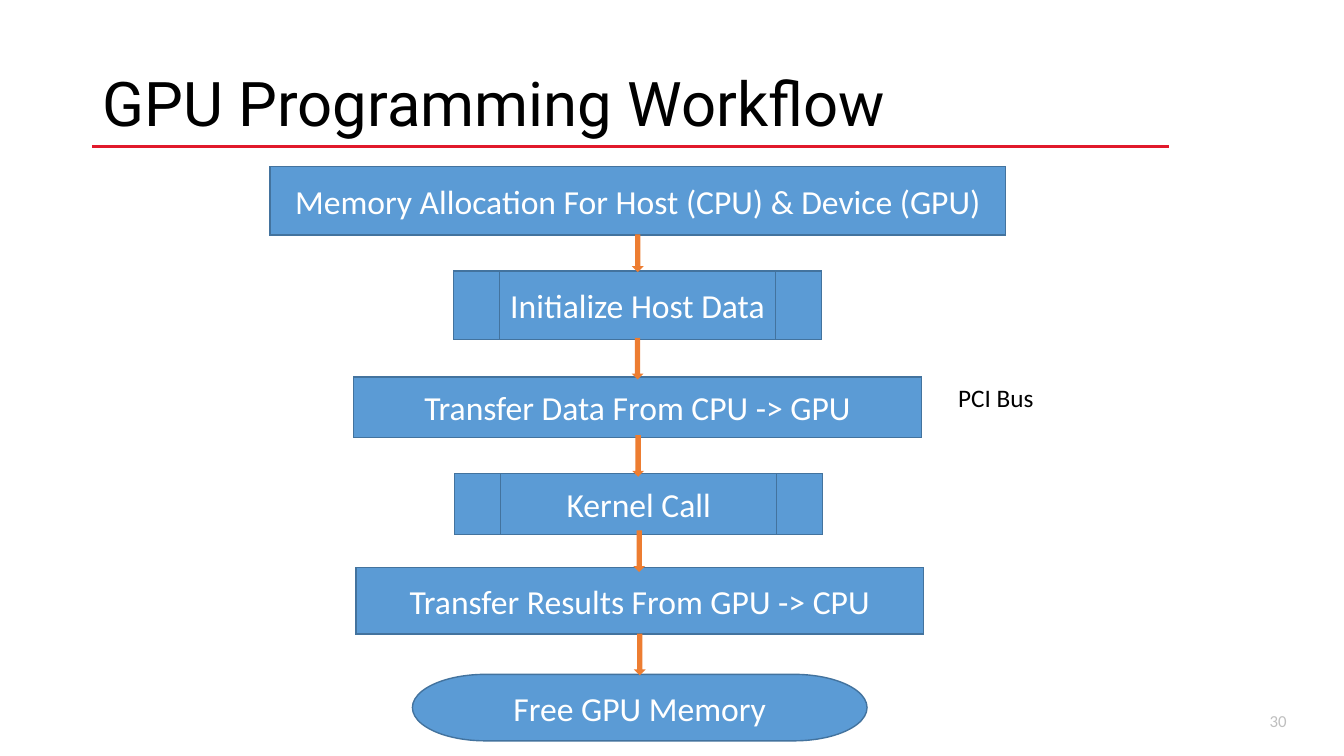
from dataclasses import dataclass
from itertools import pairwise

from lxml import etree
from pptx import Presentation
from pptx.dml.color import RGBColor
from pptx.enum.shapes import MSO_CONNECTOR, MSO_SHAPE as Preset
from pptx.enum.text import MSO_ANCHOR as Anchor, PP_ALIGN as Align
from pptx.oxml.ns import qn
from pptx.util import Inches, Pt

COLORS = {
    "white": "FFFFFF", "black": "000000", "gray": "BFBFBF", "red": "E1192B",
    "blue": "5B9BD5", "navy": "43739E", "orange": "ED7D31", "green": "70AD47",
}

# Grid of 80 columns by 45 rows
presentation = Presentation()
presentation.slide_width, presentation.slide_height = Inches(13.33), Inches(7.5)
COLUMN = presentation.slide_width / 80
ROW = presentation.slide_height / 45


@dataclass(frozen=True)
class Box:
    """A rectangle measured in grid columns and rows."""
    left: float
    top: float
    width: float
    height: float

    def emu(self) -> tuple[int, int, int, int]:
        return (round(self.left * COLUMN), round(self.top * ROW),
                round(self.width * COLUMN), round(self.height * ROW))


@dataclass(frozen=True)
class Step:
    """A workflow step and the arrow that leaves it."""
    text: str
    preset: Preset
    center: float
    top: float
    width: float
    height: float
    arrow_length: float = 2.28
    arrow_fill: str = "blue"

    @property
    def bottom(self) -> float:
        return self.top + self.height


STEPS = [
    Step("Memory Allocation For Host (CPU) & Device (GPU)",
         Preset.FLOWCHART_PROCESS, 37.97, 9.9, 43.8, 4.08, 2.04, "green"),
    Step("Initialize Host Data",
         Preset.FLOWCHART_PREDEFINED_PROCESS, 37.95, 16.14, 21.9, 4.08),
    Step("Transfer Data From CPU -> GPU",
         Preset.FLOWCHART_PROCESS, 37.95, 22.44, 33.78, 3.6),
    Step("Kernel Call",
         Preset.FLOWCHART_PREDEFINED_PROCESS, 38.02, 28.2, 21.9, 3.6),
    Step("Transfer Results From GPU -> CPU",
         Preset.FLOWCHART_PROCESS, 38.08, 33.78, 33.78, 3.96),
    Step("Free GPU Memory",
         Preset.FLOWCHART_TERMINATOR, 38.08, 40.14, 27.06, 3.96),
]
ARROW_WIDTH = 0.3


def color(name: str) -> RGBColor:
    return RGBColor.from_string(COLORS[name])


def write(frame, text: str, *, size: float, ink: str = "black", font: str = "Calibri",
          align: Align = Align.LEFT, anchor: Anchor = Anchor.MIDDLE,
          spacing: float = 1.0) -> None:
    frame.word_wrap = True
    frame.vertical_anchor = anchor
    paragraph = frame.paragraphs[0]
    paragraph.alignment = align
    paragraph.line_spacing = spacing
    run = paragraph.add_run()
    run.text = text
    run.font.size = Pt(size)
    run.font.name = font
    run.font.color.rgb = color(ink)


def add_block(slide, preset: Preset, box: Box, fill: str, line: str, weight: float):
    shape = slide.shapes.add_shape(preset, *box.emu())
    shape.shadow.inherit = False
    shape.fill.solid()
    shape.fill.fore_color.rgb = color(fill)
    shape.line.color.rgb = color(line)
    shape.line.width = Pt(weight)
    # Sharp corners
    outline = shape._element.spPr.find(qn("a:ln"))
    etree.SubElement(outline, qn("a:miter"), lim="800000")
    return shape


def add_step(slide, step: Step) -> None:
    box = Box(step.center - step.width / 2, step.top, step.width, step.height)
    shape = add_block(slide, step.preset, box, "blue", "navy", 1)
    frame = shape.text_frame
    frame.margin_left = frame.margin_right = 0
    write(frame, step.text, size=24, ink="white", align=Align.CENTER)


def add_arrow(slide, source: Step, target: Step) -> None:
    """Center an arrow in the gap between two steps."""
    center = (source.center + target.center) / 2
    middle = (source.bottom + target.top) / 2
    box = Box(center - ARROW_WIDTH / 2, middle - source.arrow_length / 2,
              ARROW_WIDTH, source.arrow_length)
    add_block(slide, Preset.DOWN_ARROW, box, source.arrow_fill, "orange", 2)


def add_rule(slide, left: float, right: float, row: float) -> None:
    x1, y, width, _ = Box(left, row, right - left, 0).emu()
    rule = slide.shapes.add_connector(MSO_CONNECTOR.STRAIGHT, x1, y, x1 + width, y)
    rule.line.color.rgb = color("red")
    rule.line.width = Pt(2)
    etree.SubElement(rule._element.spPr, qn("a:effectLst"))


def add_label(slide, box: Box, text: str, **text_format) -> None:
    write(slide.shapes.add_textbox(*box.emu()).text_frame, text, **text_format)


def main() -> None:
    slide = presentation.slides.add_slide(presentation.slide_layouts[6])
    slide.background.fill.solid()
    slide.background.fill.fore_color.rgb = color("white")

    # Title, rule and slide number
    add_rule(slide, 5.5, 69.6, 8.74)
    add_label(slide, Box(59.18, 41.7, 18, 2.4), "30",
              size=12, ink="gray", align=Align.RIGHT)
    add_label(slide, Box(5.52, 1.98, 69, 8.7), "GPU Programming Workflow",
              size=44, font="Roboto", spacing=0.9)

    # Workflow
    for step in STEPS:
        add_step(slide, step)
    for source, target in pairwise(STEPS):
        add_arrow(slide, source, target)

    # Side note
    add_label(slide, Box(56.45, 22.44, 9.54, 2.4), "PCI Bus",
              size=18, anchor=Anchor.TOP)

    presentation.save("out.pptx")


if __name__ == "__main__":
    main()
